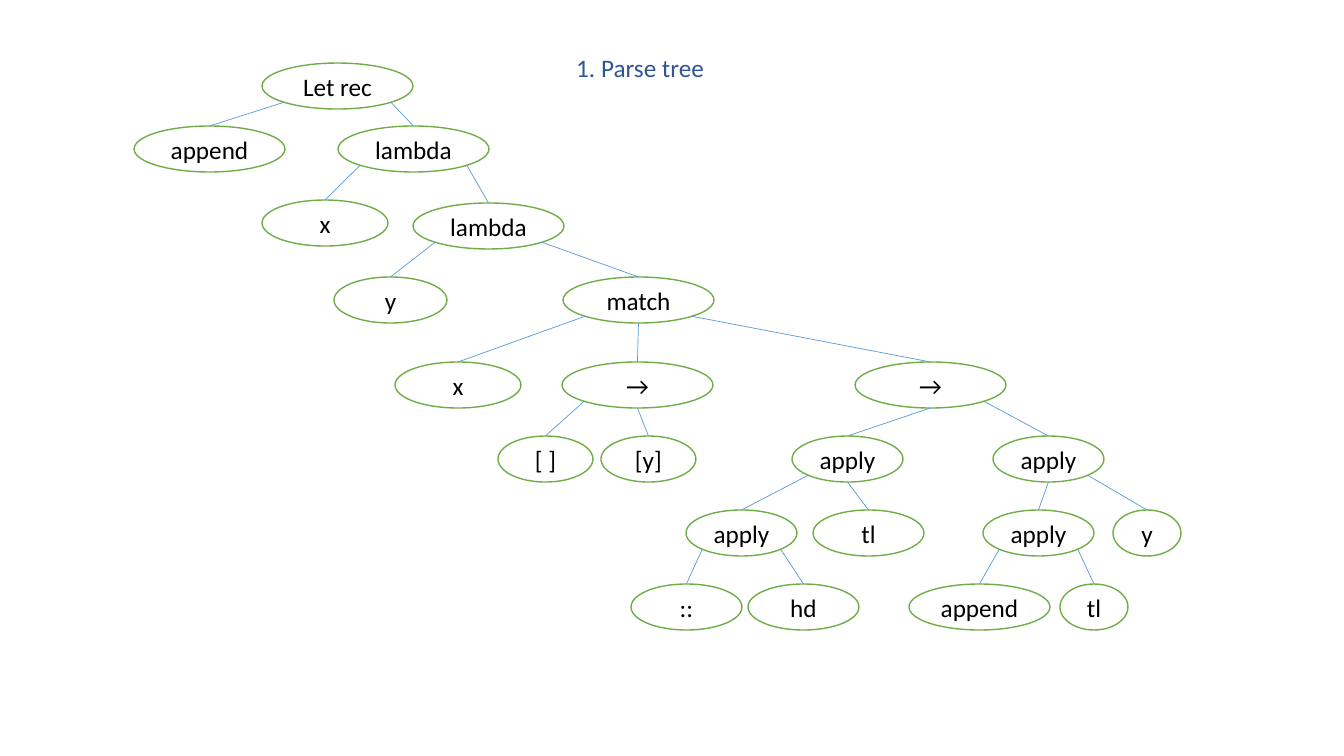
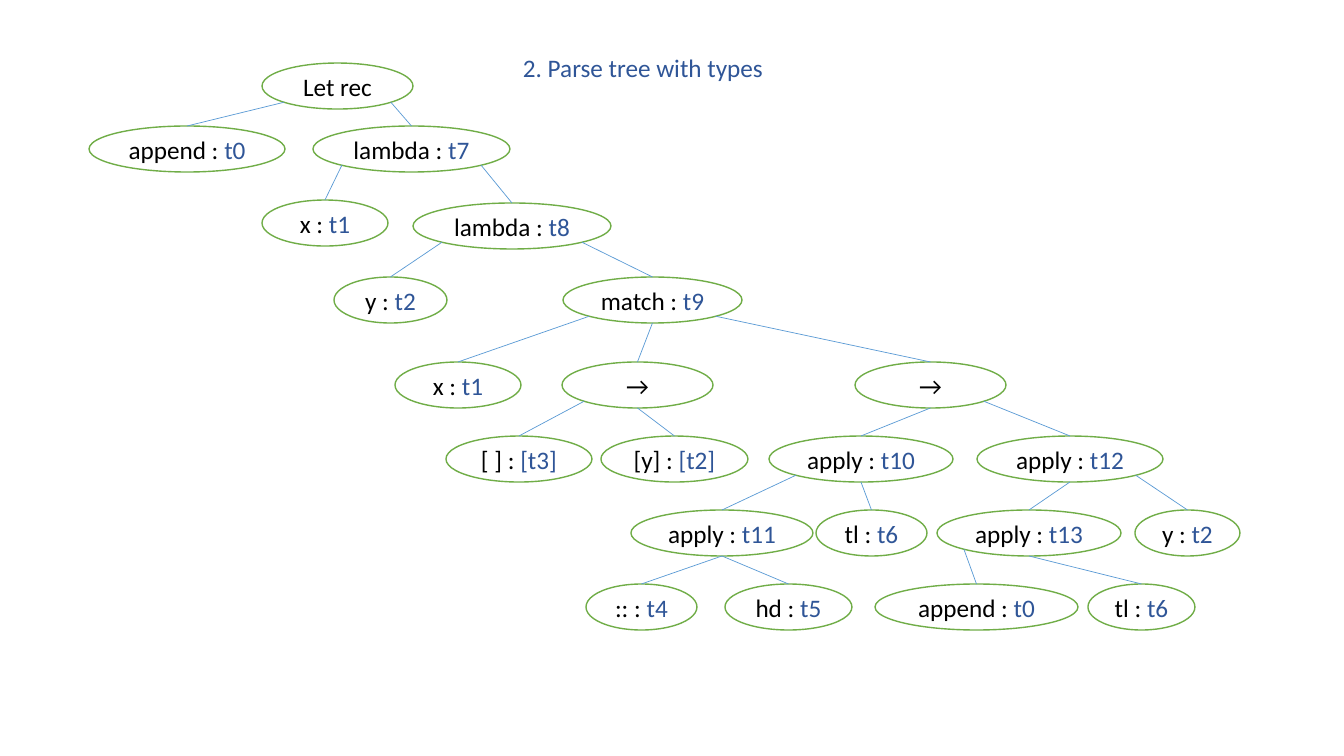
"""Build two slides that show a parse tree, first plain and then with types."""
from math import sqrt
from lxml.etree import SubElement
from pptx import Presentation
from pptx.dml.color import RGBColor as RGB
from pptx.enum.shapes import MSO_CONNECTOR as LINK, MSO_SHAPE as FORM
from pptx.enum.text import MSO_ANCHOR as ANCHOR, PP_ALIGN as ALIGN
from pptx.oxml.ns import qn
from pptx.util import Pt

HUE = {"paper": "FFFFFF", "ring": "70AD47", "link": "5B9BD5",
       "ink": "000000", "type": "2F5597"}
HIGH = 46
LEFT, MID, RIGHT = 3, 4, 5
SIDE = {LEFT: -1 / sqrt(2), MID: 0, RIGHT: 1 / sqrt(2)}
TITLES = ["1. Parse tree ", "2. Parse tree with types"]

# name, parent, label, type, top, then left, width and parent site per slide
NODES = [
    ("root", None, "Let rec", None, 63, (262, 151, MID), (262, 151, MID)),
    ("fun", "root", "append", "t0", 126, (134, 151, LEFT), (89, 196, LEFT)),
    ("lam x", "root", "lambda", "t7", 126, (338, 151, RIGHT), (313, 197, RIGHT)),
    ("x", "lam x", "x", "t1", 200, (262, 126, LEFT), (262, 126, LEFT)),
    ("lam y", "lam x", "lambda", "t8", 203, (413, 151, RIGHT), (413, 198, RIGHT)),
    ("y", "lam y", "y", "t2", 277, (334, 113, LEFT), (334, 113, LEFT)),
    ("match", "lam y", "match", "t9", 277, (563, 151, RIGHT), (563, 179, RIGHT)),
    ("on", "match", "x", "t1", 362, (395, 126, LEFT), (395, 126, LEFT)),
    ("nil", "match", "→", None, 362, (562, 151, MID), (562, 151, MID)),
    ("cons", "match", "→", None, 362, (855, 151, RIGHT), (855, 151, RIGHT)),
    ("void", "nil", "[ ]", "[t3]", 436, (498, 95, LEFT), (446, 146, LEFT)),
    ("one", "nil", "[y]", "[t2]", 436, (601, 95, MID), (601, 147, MID)),
    ("case", "cons", "apply", "t10", 436, (792, 111, MID), (769, 184, MID)),
    ("call", "cons", "apply", "t12", 436, (993, 111, RIGHT), (977, 186, RIGHT)),
    ("pair", "case", "apply", "t11", 510, (686, 111, LEFT), (631, 182, LEFT)),
    ("tail", "case", "tl", "t6", 510, (813, 111, MID), (816, 111, MID)),
    ("part", "call", "apply", "t13", 510, (983, 111, MID), (937, 184, MID)),
    ("last", "call", "y", "t2", 510, (1113, 68, RIGHT), (1135, 105, RIGHT)),
    ("op", "pair", "::", "t4", 584, (631, 111, LEFT), (586, 111, MID)),
    ("head", "pair", "hd", "t5", 584, (748, 111, RIGHT), (725, 127, MID)),
    ("self", "part", "append", "t0", 584, (909, 141, LEFT), (875, 203, LEFT)),
    ("rest", "part", "tl", "t6", 584, (1060, 68, RIGHT), (1088, 107, MID)),
]


def px(*sizes):
    return [round(size * 914400 / 100.8) for size in sizes]


def write(para, text, hue):
    run = para.add_run()
    run.text = text
    run.font.size, run.font.name = Pt(18), "Calibri"
    run.font.color.rgb = RGB.from_string(HUE[hue])
    para.alignment = ALIGN.CENTER


deck = Presentation()
deck.slide_width, deck.slide_height = px(1344, 756)

for page, title in enumerate(TITLES):
    slide = deck.slides.add_slide(deck.slide_layouts[5])
    head = slide.shapes.title
    head.left, head.top, head.width, head.height = px(509, 47, 268, 40)
    head.text_frame.vertical_anchor = ANCHOR.TOP
    write(head.text_frame.paragraphs[0], title, "type")

    drawn = {}
    for name, parent, label, kind, top, *spots in NODES:
        left, wide, site = spots[page]
        node = slide.shapes.add_shape(FORM.OVAL, *px(left, top, wide, HIGH))
        node.shadow.inherit = False
        node.fill.solid()
        node.fill.fore_color.rgb = RGB.from_string(HUE["paper"])
        node.line.color.rgb = RGB.from_string(HUE["ring"])
        node.line.width = Pt(1)
        frame = node.text_frame
        frame.word_wrap, frame.vertical_anchor = False, ANCHOR.MIDDLE
        typed = page == 1 and kind
        write(frame.paragraphs[0], f"{label} : " if typed else label, "ink")
        if typed:
            write(frame.paragraphs[0], kind, "type")
        mid = left + wide / 2
        drawn[name] = node, mid, top, wide

        if parent:
            base, axis, above, span = drawn[parent]
            shift = SIDE[site]
            start = axis + shift * span / 2
            edge = above + HIGH / 2 * (1 + sqrt(1 - shift ** 2))
            link = slide.shapes.add_connector(
                LINK.STRAIGHT, *px(start, edge, mid, top))
            link.line.color.rgb = RGB.from_string(HUE["link"])
            link.line.width = Pt(0.5)
            SubElement(link._element.spPr, qn("a:effectLst"))
            ends = link._element.nvCxnSpPr.cNvCxnSpPr
            for tag, shape, spot in (("stCxn", base, site), ("endCxn", node, 0)):
                SubElement(ends, qn(f"a:{tag}"), id=str(shape.shape_id), idx=str(spot))

deck.save("out.pptx")
